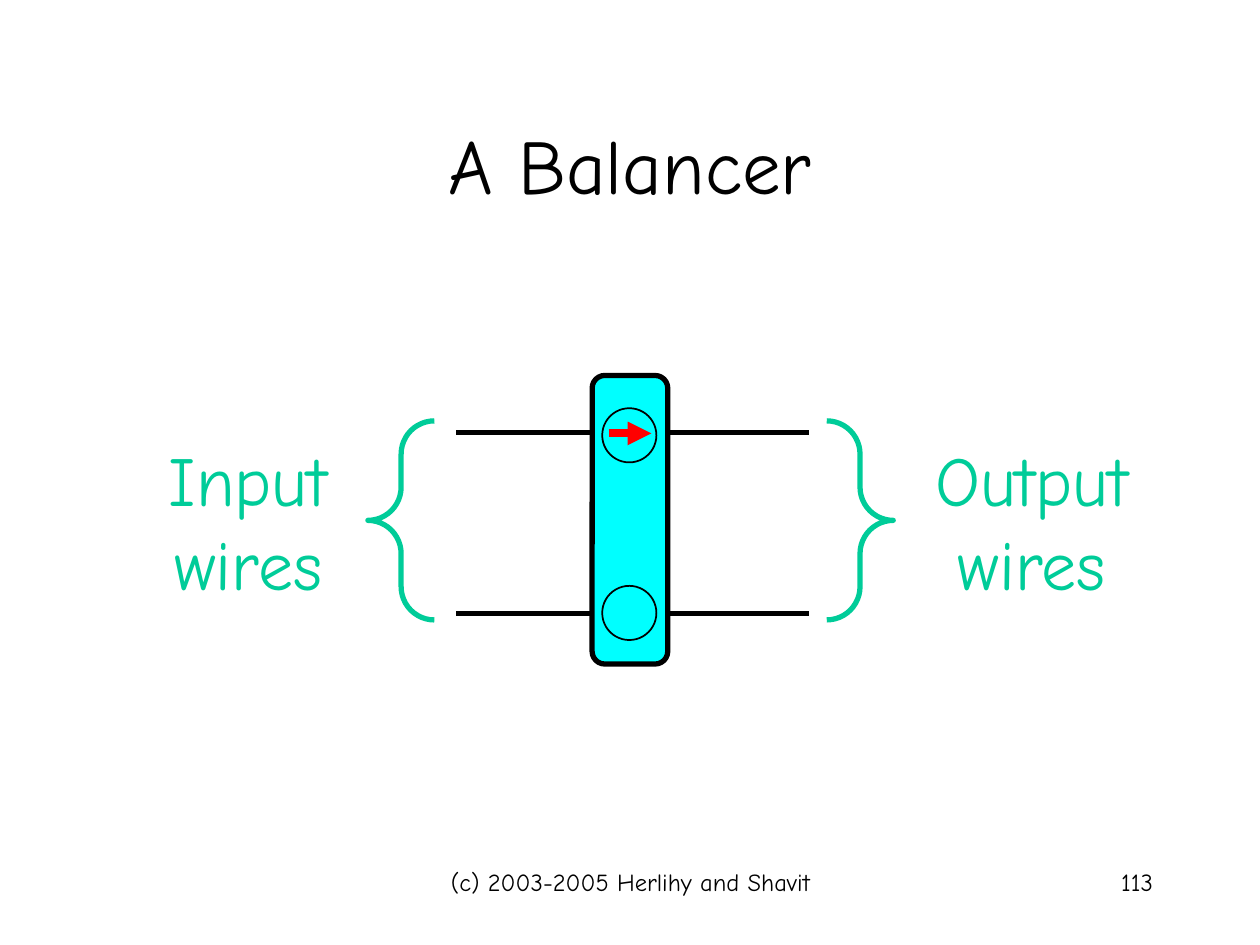
from lxml import etree
from pptx import Presentation
from pptx.dml.color import RGBColor
from pptx.enum.shapes import MSO_CONNECTOR as Connector, MSO_SHAPE as Shape
from pptx.enum.text import MSO_ANCHOR as Anchor, MSO_AUTO_SIZE as AutoSize, PP_ALIGN as Align
from pptx.oxml.ns import qn
from pptx.util import Inches, Pt


def color(value):
    return RGBColor.from_string(value)


class SlideBuilder:
    FONT = "Comic Neue"
    BLACK, GREEN, CYAN, RED = "000000", "00CC99", "00FFFF", "FF0000"

    def __init__(self, slide):
        self.slide = slide

    def text(self, box, lines, size, ink=BLACK, align=Align.CENTER,
             anchor=Anchor.TOP, grow=False):
        shape = self.slide.shapes.add_textbox(*map(Inches, box))
        frame = shape.text_frame
        frame.word_wrap = not grow
        frame.auto_size = AutoSize.SHAPE_TO_FIT_TEXT if grow else AutoSize.NONE
        frame.vertical_anchor = anchor
        for index, line in enumerate(lines):
            paragraph = frame.add_paragraph() if index else frame.paragraphs[0]
            paragraph.alignment = align
            run = paragraph.add_run()
            run.text = line
            run.font.name = self.FONT
            run.font.size = Pt(size)
            run.font.color.rgb = color(ink)

    def shape(self, kind, box, width, ink=BLACK, fill=None, adjustment=None):
        shape = self.slide.shapes.add_shape(kind, *map(Inches, box))
        shape.shadow.inherit = False
        if fill:
            shape.fill.solid()
            shape.fill.fore_color.rgb = color(fill)
        else:
            shape.fill.background()
        shape.line.color.rgb = color(ink)
        shape.line.width = Pt(width)
        if adjustment is not None:
            shape.adjustments[0] = adjustment

    def line(self, left, right, y, width, ink=BLACK, arrow=False):
        connector = self.slide.shapes.add_connector(
            Connector.STRAIGHT, Inches(left), Inches(y), Inches(right), Inches(y))
        connector.line.color.rgb = color(ink)
        connector.line.width = Pt(width)
        if arrow:
            outline = connector.line._get_or_add_ln()
            etree.SubElement(outline, qn("a:tailEnd"), type="triangle")
        etree.SubElement(connector._element.spPr, qn("a:effectLst"))


def main():
    presentation = Presentation()
    presentation.slide_width = Inches(10)
    presentation.slide_height = Inches(7.5)
    slide = presentation.slides.add_slide(presentation.slide_layouts[6])
    builder = SlideBuilder(slide)

    # Title
    builder.text((0.75, 0.67, 8.5, 1.25), ["A Balancer"], 44, anchor=Anchor.MIDDLE)

    # Wires, running behind the balancer
    for y in (3.43, 4.87):
        builder.line(3.62, 6.42, y, 3)

    # Balancer body
    builder.shape(Shape.ROUNDED_RECTANGLE, (4.7, 2.98, 0.6, 2.29), 3,
                  fill=builder.CYAN, adjustment=0.167)

    # Braces and their labels, which grow to fit their words
    builder.shape(Shape.DOUBLE_BRACE, (2.92, 3.34, 4.17, 1.58), 3,
                  ink=builder.GREEN, adjustment=0.167)
    for name, left, width in (("Input", 1.22, 1.5), ("Output", 7.29, 1.8)):
        builder.text((left, 3.41, width, 1.44), [name, "wires"], 40,
                     ink=builder.GREEN, anchor=Anchor.MIDDLE, grow=True)

    # Ports, with the arrow on the upper one
    for top in (3.24, 4.65):
        builder.shape(Shape.OVAL, (4.78, top, 0.43, 0.43), 1)
    builder.line(4.83, 5.17, 3.44, 4.5, ink=builder.RED, arrow=True)

    # Footer
    builder.text((3.42, 6.83, 3.17, 0.5), ["(c) 2003-2005 Herlihy and Shavit"], 14)
    builder.text((7.17, 6.83, 2.08, 0.5), ["113"], 14, align=Align.RIGHT)

    presentation.save("out.pptx")


if __name__ == "__main__":
    main()
